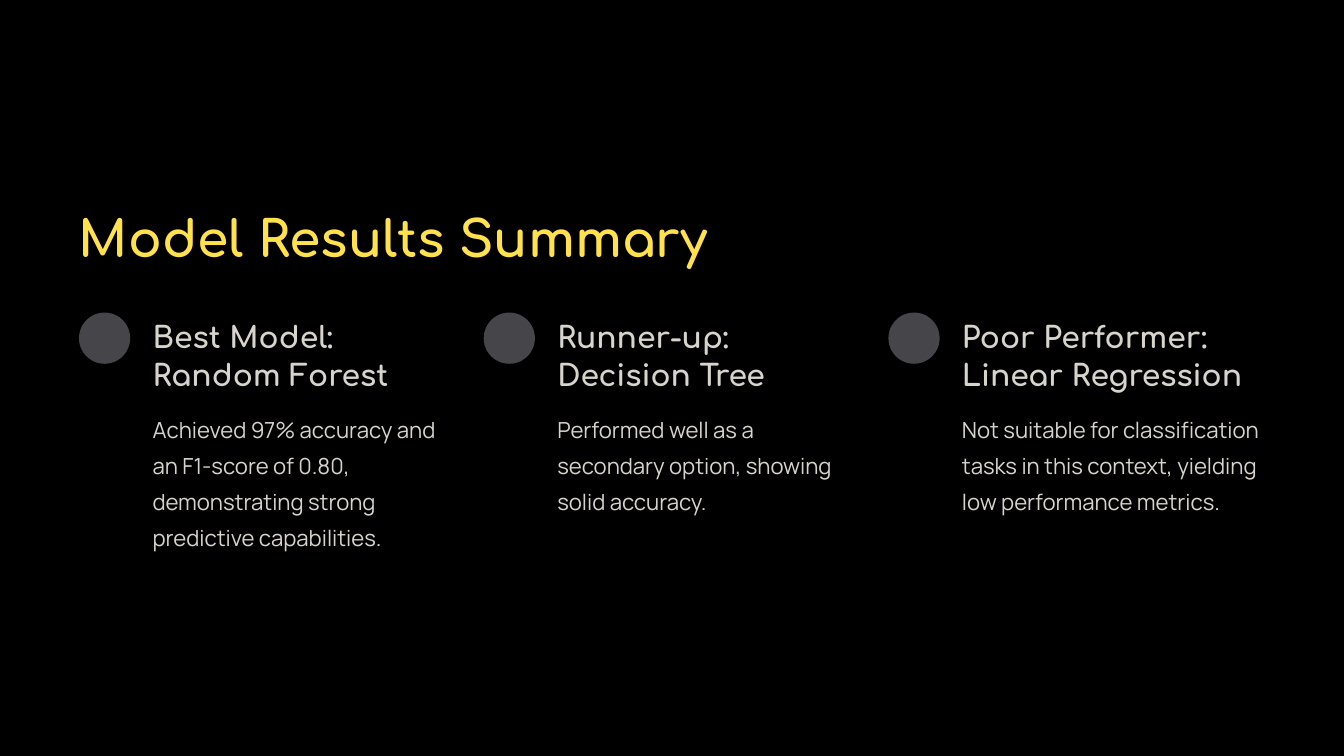
from pptx import Presentation
from pptx import util as u
from pptx.dml import color
from pptx.enum import shapes, text

BLACK, YELLOW, CREAM, GRAY = "000000", "FFE14D", "D7D4CC", "46464A"
HEADING_FONT, BODY_FONT = "Comfortaa", "Manrope"

LEFT, COLUMN_PITCH, TEXT_INDENT = 67.7, 346.9, 63.1
TEXT_WIDTH, MARKER_SIZE = 259.2, 43.9

MODELS = [
    ("Best Model: Random Forest",
     "Achieved 97% accuracy and an F1-score of 0.80, demonstrating strong predictive capabilities.", 124.6),
    ("Runner-up: Decision Tree",
     "Performed well as a secondary option, showing solid accuracy.", 93.6),
    ("Poor Performer: Linear Regression",
     "Not suitable for classification tasks in this context, yielding low performance metrics.", 124.6),
]


def rgb(value):
    return color.RGBColor.from_string(value)


class SlideBuilder:
    def __init__(self, presentation, background):
        self.slide = presentation.slides.add_slide(presentation.slide_layouts[6])
        fill = self.slide.background.fill
        fill.solid()
        fill.fore_color.rgb = rgb(background)

    def add_marker(self, left, top, size, fill):
        shape = self.slide.shapes.add_shape(
            shapes.MSO_SHAPE.ROUNDED_RECTANGLE, u.Pt(left), u.Pt(top), u.Pt(size), u.Pt(size))
        shape.adjustments[0] = 0.5
        shape.shadow.inherit = False
        shape.fill.solid()
        shape.fill.fore_color.rgb = rgb(fill)
        shape.line.fill.background()

    def add_text(self, content, left, top, width, height, font, size, line_height, ink, bold=False, wrap=True):
        box = self.slide.shapes.add_textbox(u.Pt(left), u.Pt(top), u.Pt(width), u.Pt(height))
        frame = box.text_frame
        frame.margin_left = frame.margin_top = frame.margin_right = frame.margin_bottom = 0
        frame.vertical_anchor = text.MSO_ANCHOR.TOP
        frame.word_wrap = wrap
        frame.text = content
        paragraph = frame.paragraphs[0]
        paragraph.line_spacing = u.Pt(line_height)
        run = paragraph.runs[0]
        run.font.name = font
        run.font.size = u.Pt(size)
        run.font.bold = bold
        run.font.color.rgb = rgb(ink)


def main():
    presentation = Presentation()
    presentation.slide_width, presentation.slide_height = u.Pt(1152), u.Pt(648)
    builder = SlideBuilder(presentation, BLACK)
    builder.add_text("Model Results Summary", LEFT, 175, 541.4, 54,
                     HEADING_FONT, 43, 54, YELLOW, bold=True, wrap=False)
    for index, (heading, summary, summary_height) in enumerate(MODELS):
        left = LEFT + index * COLUMN_PITCH
        text_left = left + TEXT_INDENT
        builder.add_marker(left, 267.9, MARKER_SIZE, GRAY)
        builder.add_text(heading, text_left, 272.2, TEXT_WIDTH, 64.8,
                         HEADING_FONT, 25.5, 32, CREAM, bold=True)
        builder.add_text(summary, text_left, 348.5, TEXT_WIDTH, summary_height,
                         BODY_FONT, 19, 31, CREAM)
    presentation.save("out.pptx")


if __name__ == "__main__":
    main()
